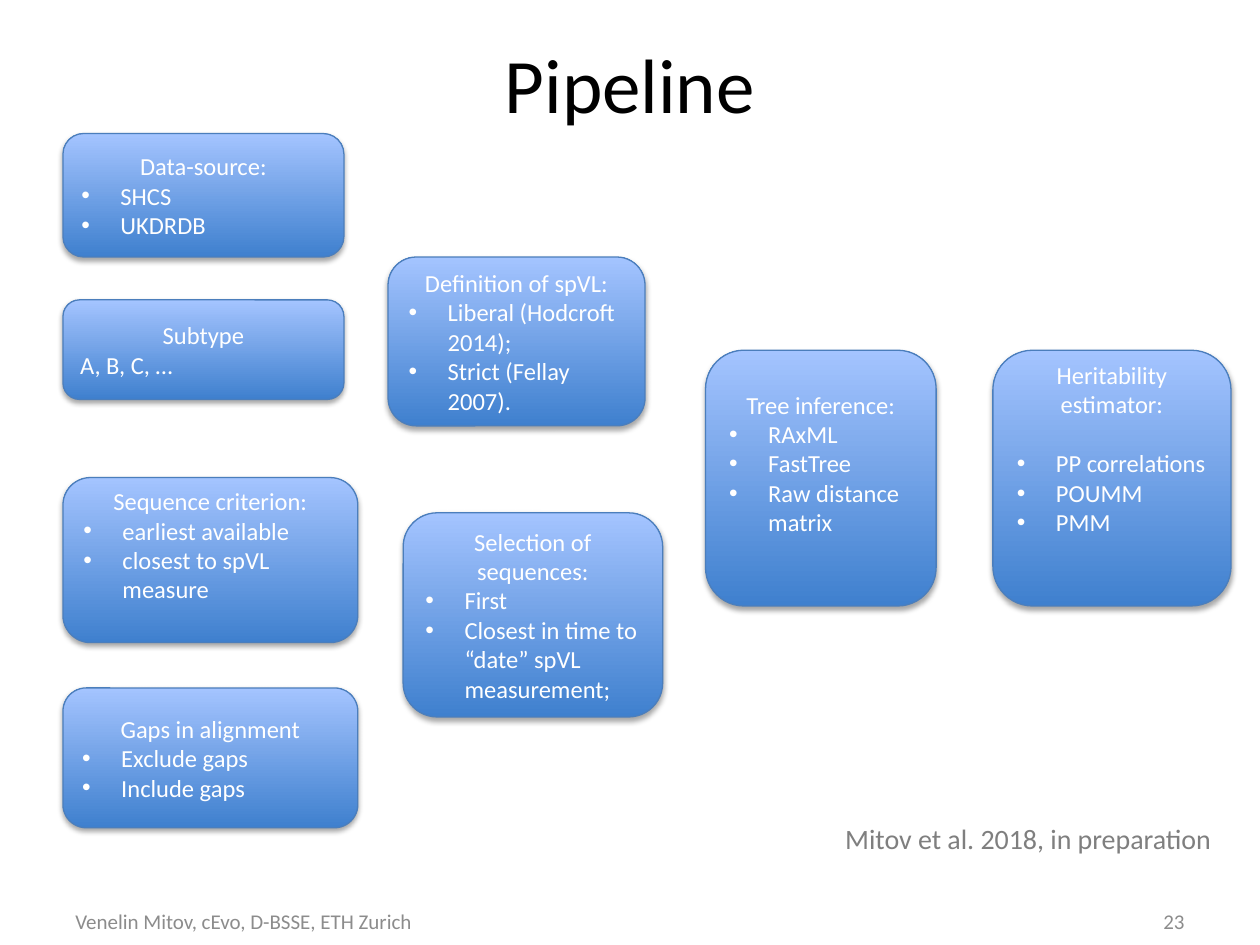
from lxml.etree import SubElement
from pptx import Presentation
from pptx.dml.color import RGBColor
from pptx.enum.shapes import MSO_SHAPE
from pptx.enum.text import MSO_ANCHOR, PP_ALIGN
from pptx.oxml.ns import qn
from pptx.util import Inches, Pt

BLACK = RGBColor(0x00, 0x00, 0x00)
WHITE = RGBColor(0xFF, 0xFF, 0xFF)
FOOTER_GRAY = RGBColor(0x8C, 0x8C, 0x8C)
CITATION_GRAY = RGBColor(0x7F, 0x7F, 0x7F)
DEEP_BLUE = RGBColor(0x3F, 0x80, 0xCE)
LIGHT_BLUE = RGBColor(0xA4, 0xC4, 0xFF)
EDGE_BLUE = RGBColor(0x4B, 0x7E, 0xBC)

# Grid of 100 columns by 75 rows
COLUMNS, ROWS = 100, 75
FONT = "Calibri"
STEP_SIZE = 14
STEP_LINE = Pt(STEP_SIZE * 1.22)
BULLET_INDENT = Inches(0.31)


class PipelinePage:
    """Holds the style and the current slide."""

    def __init__(self, deck):
        self.page = deck.slides.add_slide(deck.slide_layouts[6])
        self.column = deck.slide_width / COLUMNS
        self.row = deck.slide_height / ROWS

    def place(self, left, top, width, height):
        return (round(left * self.column), round(top * self.row),
                round(width * self.column), round(height * self.row))

    def style(self, para, size, color, align=PP_ALIGN.LEFT):
        para.alignment = align
        for name, value in {"name": FONT, "size": Pt(size)}.items():
            setattr(para.font, name, value)
        para.font.color.rgb = color

    def label(self, area, text, size, color, align=PP_ALIGN.LEFT,
              anchor=MSO_ANCHOR.MIDDLE, wrap=True):
        box = self.page.shapes.add_textbox(*self.place(*area))
        frame = box.text_frame
        for name, value in {"word_wrap": wrap, "vertical_anchor": anchor,
                            "text": text}.items():
            setattr(frame, name, value)
        self.style(frame.paragraphs[0], size, color, align)

    def shadow(self, shape):
        shape.shadow.inherit = False
        effects = shape._element.spPr.find(qn("a:effectLst"))
        outer = SubElement(effects, qn("a:outerShdw"), blurRad=str(Pt(3.1)),
                           dist=str(Pt(1.8)), dir="5400000", rotWithShape="0")
        black = SubElement(outer, qn("a:srgbClr"), val=str(BLACK))
        SubElement(black, qn("a:alpha"), val="35000")

    def bullet(self, para):
        properties = para._p.get_or_add_pPr()
        properties.set("marL", str(BULLET_INDENT))
        properties.set("indent", str(-BULLET_INDENT))
        SubElement(properties, qn("a:buFont"), typeface="Arial")
        SubElement(properties, qn("a:buChar"), char="•")

    def step(self, area, heading, items, bulleted=True, gap=0, spare=0):
        """Draw a box; gap and spare are free lines below heading and items."""
        box = self.page.shapes.add_shape(MSO_SHAPE.ROUNDED_RECTANGLE,
                                         *self.place(*area))
        box.fill.gradient()
        box.fill.gradient_angle = 90
        for stop, color in zip(box.fill.gradient_stops, (DEEP_BLUE, LIGHT_BLUE)):
            stop.color.rgb = color
        box.line.color.rgb = EDGE_BLUE
        box.line.width = Pt(0.75)
        self.shadow(box)

        frame = box.text_frame
        for name, value in {"word_wrap": True,
                            "vertical_anchor": MSO_ANCHOR.MIDDLE,
                            "margin_bottom": Inches(0.05) + spare * STEP_LINE,
                            "text": heading}.items():
            setattr(frame, name, value)
        title = frame.paragraphs[0]
        self.style(title, STEP_SIZE, WHITE, PP_ALIGN.CENTER)
        if gap:
            title.space_after = gap * STEP_LINE
        for item in items:
            para = frame.add_paragraph()
            para.text = item
            if bulleted:
                self.bullet(para)
            self.style(para, STEP_SIZE, WHITE)


def main():
    deck = Presentation()
    deck.slide_width, deck.slide_height = Inches(10), Inches(7.5)
    slide = PipelinePage(deck)

    # Title
    slide.label((5, 0.3, 90, 12.5), "Pipeline", 44, BLACK, PP_ALIGN.CENTER)

    # Input choices
    slide.step((5, 10.6, 22.3, 9.8), "Data-source:", ["SHCS", "UKDRDB"])
    slide.step((5, 23.8, 22.3, 7.9), "Subtype", ["A, B, C, …"], bulleted=False)
    slide.step((5, 37.9, 23.4, 13.1), "Sequence criterion:",
               ["earliest available", "closest to spVL measure"], spare=1)
    slide.step((5, 54.6, 23.4, 11.1), "Gaps in alignment",
               ["Exclude gaps", "Include gaps"])

    # Definitions and selection
    slide.step((30.8, 20.4, 20.4, 13.4), "Definition of spVL:",
               ["Liberal (Hodcroft 2014);", "Strict (Fellay 2007)."])
    slide.step((32, 40.7, 20.6, 16.2), "Selection of sequences:",
               ["First", "Closest in time to “date” spVL measurement;"])

    # Inference and estimation
    slide.step((56, 27.8, 18.3, 20.3), "Tree inference:",
               ["RAxML", "FastTree", "Raw distance matrix"], spare=1)
    slide.step((78.8, 27.8, 18.9, 20.3), "Heritability estimator:",
               ["PP correlations", "POUMM", "PMM"], gap=1, spare=2)

    # Citation and footer
    slide.label((66.1, 64.7, 31.6, 3.7), "Mitov et al. 2018, in preparation",
                16, CITATION_GRAY, anchor=MSO_ANCHOR.TOP, wrap=False)
    slide.label((5, 71.1, 37.3, 4), "Venelin Mitov, cEvo, D-BSSE, ETH Zurich",
                12, FOOTER_GRAY)
    slide.label((89.7, 71.1, 5.3, 4), "23", 12, FOOTER_GRAY, PP_ALIGN.RIGHT)

    deck.save("out.pptx")


if __name__ == "__main__":
    main()
